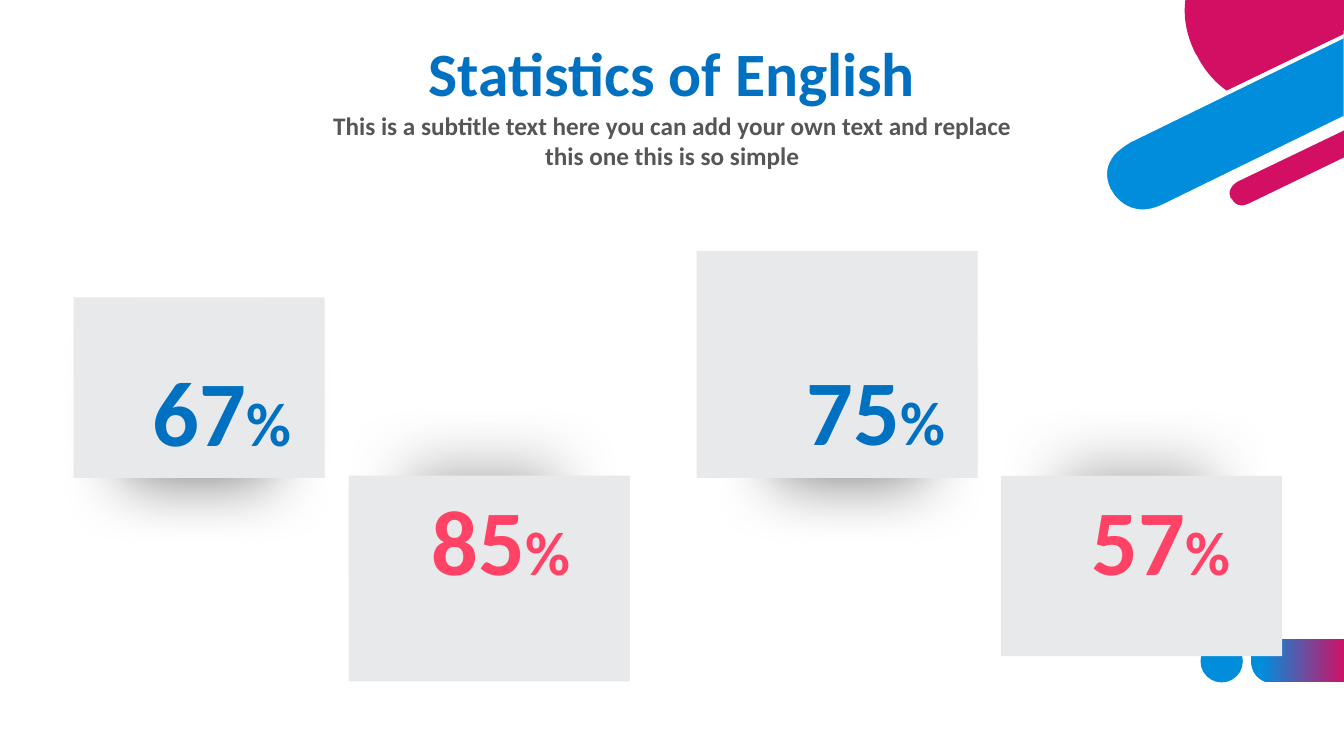
from lxml import etree
from pptx import Presentation
from pptx.dml.color import RGBColor
from pptx.enum.shapes import MSO_SHAPE
from pptx.enum.text import MSO_AUTO_SIZE, PP_ALIGN
from pptx.oxml.ns import qn
from pptx.util import Inches, Pt

RECTANGLE, OVAL = MSO_SHAPE.RECTANGLE, MSO_SHAPE.OVAL
CENTER = PP_ALIGN.CENTER
GROW = MSO_AUTO_SIZE.SHAPE_TO_FIT_TEXT
FONT = "Calibri"
SKY, CRIMSON, WHITE = "008EDC", "D30F64", "FFFFFF"
BLUE, PINK, CARD, GRAY = "0070C0", "FF4266", "E8E9EB", "565654"


def color(value):
    return RGBColor.from_string(value)


class SlideBuilder:
    def __init__(self, slide):
        self.slide = slide

    def finish(self, shape, fill):
        shape.shadow.inherit = False
        shape.line.fill.background()
        shape.fill.solid()
        shape.fill.fore_color.rgb = color(fill)
        return shape

    def shape(self, kind, left, top, width, height, fill):
        shape = self.slide.shapes.add_shape(
            kind, Inches(left), Inches(top), Inches(width), Inches(height))
        return self.finish(shape, fill)

    def outline(self, box, steps, fill):
        """Draw steps inside box: two numbers are a line, six a cubic curve."""
        left, top, width, height = map(Inches, box)
        ends = [(Inches(step[-2]), Inches(step[-1])) for step in steps]
        builder = self.slide.shapes.build_freeform(*ends[0], scale=1.0)
        builder.add_line_segments(ends[1:], close=True)
        shape = builder.convert_to_shape()
        shape.left, shape.top, shape.width, shape.height = left, top, width, height
        route = next(shape._element.iter(qn("a:path")))
        route.set("w", str(width))
        route.set("h", str(height))
        for segment, step in zip(list(route), steps):
            if len(step) == 6:
                segment.tag = qn("a:cubicBezTo")
            for point in list(segment):
                segment.remove(point)
            for x, y in zip(step[::2], step[1::2]):
                etree.SubElement(segment, qn("a:pt"),
                                 x=str(Inches(x) - left), y=str(Inches(y) - top))
        return self.finish(shape, fill)

    def gradient(self, shape, stops):
        shape.fill.gradient()
        shape.fill.gradient_angle = 0
        for stop, (position, value) in zip(shape.fill.gradient_stops, stops):
            stop.position = position
            stop.color.rgb = color(value)

    def shadow(self, shape, value, distance, degrees):
        effects = shape._element.spPr.find(qn("a:effectLst"))
        outer = etree.SubElement(
            effects, qn("a:outerShdw"), blurRad=str(Pt(47)), dist=str(Pt(distance)),
            dir=str(degrees * 60000), algn="ctr", rotWithShape="0")
        tint = etree.SubElement(outer, qn("a:srgbClr"), val=value)
        etree.SubElement(tint, qn("a:alpha"), val="50000")

    def text(self, left, top, width, height, value, runs):
        """Write one centred paragraph; runs lists (text, size)."""
        box = self.slide.shapes.add_textbox(
            Inches(left), Inches(top), Inches(width), Inches(height))
        frame = box.text_frame
        frame.word_wrap = True
        frame.auto_size = GROW
        paragraph = frame.paragraphs[0]
        paragraph.alignment = CENTER
        for words, size in runs:
            run = paragraph.add_run()
            run.text = words
            run.font.name, run.font.size, run.font.bold = FONT, Pt(size), True
            run.font.color.rgb = color(value)


presentation = Presentation()
presentation.slide_width, presentation.slide_height = Inches(40 / 3), Inches(7.5)
slide = presentation.slides.add_slide(presentation.slide_layouts[6])
page = SlideBuilder(slide)

# Dot and gradient tab at the lower right
page.shape(OVAL, 11.91, 6.35, 0.42, 0.42, SKY)
tab = page.outline((12.4, 6.33, 0.95, 0.45), [
    (12.62, 6.77), (13.34, 6.77), (13.34, 6.34), (12.62, 6.34),
    (12.62, 6.34, 12.41, 6.34, 12.41, 6.55), (12.41, 6.56),
    (12.41, 6.56, 12.41, 6.77, 12.62, 6.77)], SKY)
page.gradient(tab, [(0.12, SKY), (1, CRIMSON)])

# Corner ornament: bars and disc, with their white rims
disc_rim = [
    (13.33, 0.81), (13.06, 0.94), (12.74, 1.1, 12.44, 1.08, 12.19, 0.89),
    (11.99, 0.74, 11.89, 0.55, 11.89, 0.55), (11.88, 0.52),
    (11.79, 0.34, 11.75, 0.16, 11.78, 0), (11.74, 0),
    (11.71, 0.17, 11.75, 0.35, 11.84, 0.54), (11.86, 0.57),
    (11.86, 0.58, 11.96, 0.77, 12.16, 0.92),
    (12.28, 1.01, 12.44, 1.09, 12.65, 1.09),
    (12.77, 1.09, 12.91, 1.06, 13.08, 0.98), (13.33, 0.86)]
wide_bar = [
    (11.21, 1.39), (11.21, 1.39, 10.85, 1.57, 11.01, 1.89), (11.01, 1.9),
    (11.01, 1.9, 11.17, 2.22, 11.54, 2.04), (13.33, 1.17), (13.33, 0.36)]
disc = [
    (11.88, 0.56), (11.88, 0.56, 11.97, 0.76, 12.17, 0.9), (13.33, 0.34),
    (13.34, 0), (11.76, 0), (11.74, 0.15, 11.76, 0.33, 11.86, 0.53)]
thin_bar = [
    (13.34, 1.26), (12.27, 1.78), (12.27, 1.78, 12.13, 1.85, 12.2, 1.97), (12.2, 1.98),
    (12.2, 1.98, 12.26, 2.11, 12.4, 2.04), (13.34, 1.58)]
thin_rim = [
    (12.39, 2.02), (12.27, 2.08, 12.22, 1.98, 12.22, 1.97), (12.21, 1.97),
    (12.16, 1.86, 12.28, 1.8, 12.28, 1.8), (13.34, 1.29), (13.34, 1.24), (12.26, 1.76),
    (12.26, 1.76, 12.19, 1.8, 12.17, 1.87), (12.15, 1.91, 12.16, 1.95, 12.18, 1.99),
    (12.2, 2.03, 12.25, 2.08, 12.32, 2.08), (12.35, 2.08, 12.38, 2.08, 12.41, 2.06),
    (13.34, 1.61), (13.34, 1.56)]
wide_rim = [
    (11.53, 2.03), (11.19, 2.19, 11.03, 1.9, 11.03, 1.89), (11.02, 1.88),
    (10.96, 1.75, 10.97, 1.64, 11.06, 1.53), (11.13, 1.46, 11.22, 1.41, 11.22, 1.41),
    (13.33, 0.38), (13.33, 0.34), (11.2, 1.37),
    (11.19, 1.38, 11.02, 1.46, 10.96, 1.63), (10.93, 1.71, 10.94, 1.8, 10.99, 1.9),
    (10.99, 1.91), (10.99, 1.91, 11.1, 2.12, 11.33, 2.12),
    (11.39, 2.12, 11.46, 2.1, 11.54, 2.06), (13.33, 1.19), (13.33, 1.15)]
for box, steps, fill in (
        ((11.72, -0.01, 1.6, 1.1), disc_rim, WHITE),
        ((10.96, 0.35, 2.38, 1.74), wide_bar, SKY),
        ((11.74, -0.01, 1.59, 0.92), disc, CRIMSON),
        ((12.17, 1.25, 1.16, 0.81), thin_bar, CRIMSON),
        ((12.15, 1.23, 1.19, 0.85), thin_rim, WHITE),
        ((10.94, 0.33, 2.41, 1.79), wide_rim, WHITE)):
    page.outline(box, steps, fill)

# Cards, each over a smaller block that casts its shadow
UP, DOWN = ("595959", 4, 270), ("000000", 3, 90)
for block_left, block_top, shadow, card in (
        (4.06, 4.72, UP, (3.46, 4.72, 2.79, 2.04)),
        (1.23, 3.49, DOWN, (0.73, 2.95, 2.49, 1.79)),
        (10.54, 4.72, UP, (9.93, 4.72, 2.79, 1.79)),
        (7.7, 3.49, DOWN, (6.91, 2.49, 2.79, 2.25))):
    block = page.shape(RECTANGLE, block_left, block_top, 1.46, 1.25, CARD)
    page.shadow(block, *shadow)
    page.shape(RECTANGLE, *card, CARD)

# Title and subtitle
page.text(3.37, 0.3, 6.6, 0.84, BLUE, [("Statistics of English", 44)])
page.text(3.1, 1.04, 7.14, 0.71, GRAY, [(
    "This is a subtitle text here you can add your own text and replace "
    "this one this is so simple", 18)])

# Percentages
for left, top, width, number, value in (
        (1, 3.46, 2.4, "67", BLUE), (3.69, 4.74, 2.56, "85", PINK),
        (7.41, 3.45, 2.56, "75", BLUE), (10.24, 4.74, 2.56, "57", PINK)):
    page.text(left, top, width, 1.21, value, [(number, 66), ("%", 44)])

presentation.save("out.pptx")
